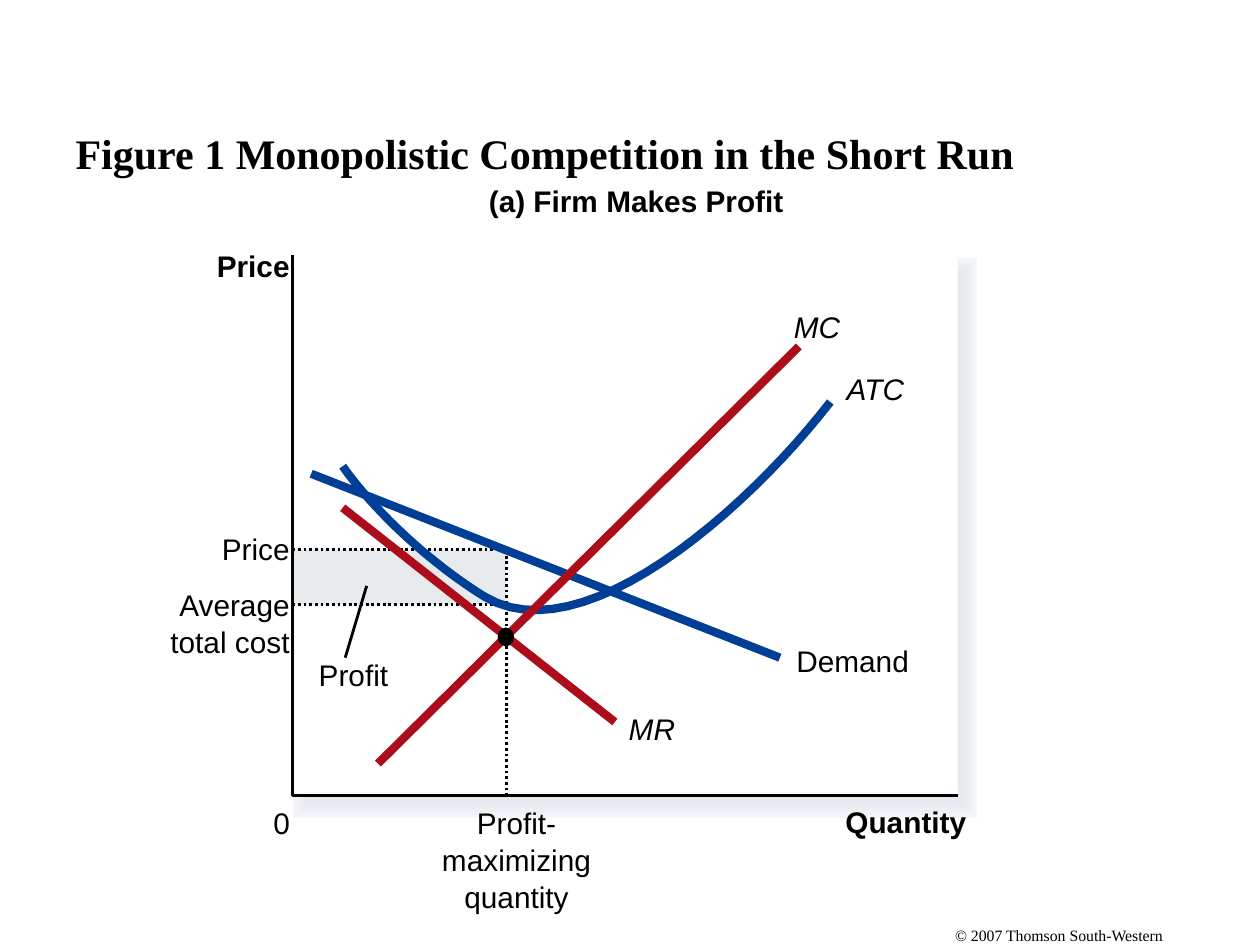
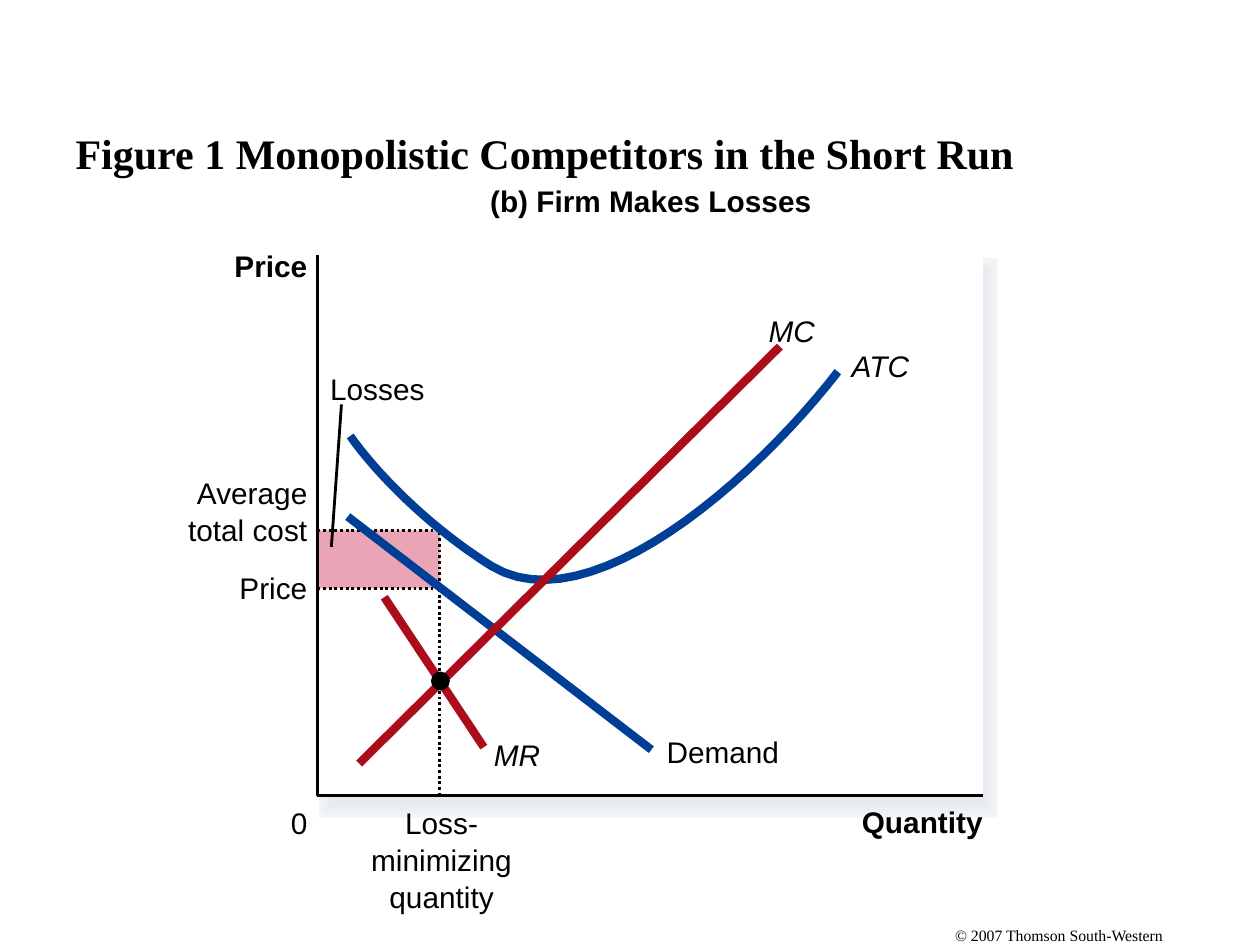
"""Build two slides on monopolistic competition in the short run."""
from dataclasses import dataclass
from typing import Optional

from lxml import etree
from pptx import Presentation
from pptx import util as u
from pptx.dml.color import RGBColor
from pptx.enum import dml, shapes, text
from pptx.oxml import ns

COLUMNS, ROWS = 100, 75
CELL = u.Inches(10) // COLUMNS
SANS, SERIF = "Arial", "Times New Roman"
COLORS = {"ink": "000000", "paper": "FFFFFF", "blue": "003F95", "red": "AD0D1B",
          "profit": "E7EBEE", "loss": "E9A5B5"}
SHADOW_TINTS = ["F3F6F9", "F2F4F8", "F1F4F7", "F0F2F5", "EEF1F4", "EDEFF3",
                "EBEEF2", "EAECF1", "E9EBF0", "E7EAEF", "E6E9EF"]
SHADOW_WIDEST, THIN, THICK = 17.5, 1.62, 4.75
LABEL_SIZE, LABEL_HEIGHT, LABEL_PITCH = 17, 2.8, 2.95
LABEL_GAP = 0.7
PLOT_TOP, PLOT_BOTTOM, PLOT_WIDTH = 20.2, 63.1, 52.8
LEFT, CENTER, RIGHT = text.PP_ALIGN.LEFT, text.PP_ALIGN.CENTER, text.PP_ALIGN.RIGHT
COST_LINES = ("Average", "total cost")

Point = tuple[float, float]


@dataclass(frozen=True)
class Label:
    """Lines of text at a grid position."""
    lines: tuple[str, ...]
    left: float
    top: float
    width: float
    align: text.PP_ALIGN = LEFT
    bold: bool = False
    italic: bool = False


@dataclass(frozen=True)
class Segment:
    """A straight line between two grid points."""
    start: Point
    end: Point
    color: str
    width: float = THICK


@dataclass(frozen=True)
class Market:
    """Everything that differs from one diagram to the next."""
    title: str
    origin: float
    shadow_width: float
    axis_label_right: float
    quantity: float
    upper: float
    lower: float
    area: str
    equilibrium: Point
    dot_width: float
    atc: tuple[Point, ...]
    segments: tuple[Segment, ...]
    price_top: float
    cost_top: float
    labels: tuple[Label, ...]


def atc_curve(left: float, top: float) -> tuple[Point, ...]:
    """Return the control points of the average total cost curve."""
    offsets = ((0, 5.1), (1.75, 7.6), (5.75, 12), (11.25, 15.45),
               (19, 20.1), (32.05, 8.6), (38.7, 0))
    return tuple((left + x, top + y) for x, y in offsets)


def marginal_cost(left: float) -> Segment:
    """Return the marginal cost line starting at a column."""
    return Segment((left, 60.6), (left + 33.4, 27.5), "red")


MARKETS = [
    Market(
        title="Figure 1 Monopolistic Competition in the Short Run",
        origin=23.2, shadow_width=51.8, axis_label_right=23,
        quantity=40.2, upper=43.6, lower=48, area="profit",
        equilibrium=(40.15, 50.55), dot_width=1.3, atc=atc_curve(27.2, 31.9),
        segments=(Segment((24.7, 37.6), (61.9, 52.2), "blue"),
                  Segment((27.2, 40.3), (48.8, 57.3), "red"),
                  Segment((27.4, 52.2), (29.1, 46.5), "ink", THIN),
                  marginal_cost(30)),
        price_top=42.1, cost_top=46.6,
        labels=(Label(("(a) Firm Makes Profit",), 38.8, 14.5, 23.5, bold=True),
                Label(("Quantity",), 67.1, 63.8, 9.6, bold=True),
                Label(("Profit-", "maximizing", "quantity"), 35, 63.9, 12, CENTER),
                Label(("Demand",), 63.2, 51, 9),
                Label(("MR",), 49.9, 56.4, 3.7, italic=True),
                Label(("ATC",), 67.2, 29.4, 4.7, italic=True),
                Label(("Profit",), 25.3, 52.1, 5.6),
                Label(("MC",), 63, 24.5, 3.7, italic=True))),
    Market(
        title="Figure 1 Monopolistic Competitors in the Short Run",
        origin=25.2, shadow_width=51.5, axis_label_right=24.4,
        quantity=34.9, upper=42.1, lower=46.7, area="loss",
        equilibrium=(34.95, 54.05), dot_width=1.5, atc=atc_curve(27.8, 29.5),
        segments=(Segment((27.6, 41), (51.7, 59.5), "blue"),
                  Segment((30.5, 47.4), (38.4, 59.3), "red"),
                  Segment((27.1, 32.1), (26.3, 43.4), "ink", THIN),
                  marginal_cost(28.5)),
        price_top=45.2, cost_top=37.7,
        labels=(Label(("(b) Firm Makes Losses",), 38.9, 14.5, 25.6, bold=True),
                Label(("Quantity",), 68.4, 63.8, 9.6, bold=True),
                Label(("Loss-", "minimizing", "quantity"), 29.4, 63.9, 11.3, CENTER),
                Label(("Demand",), 52.9, 58.2, 9),
                Label(("MR",), 39.2, 58.5, 3.7, italic=True),
                Label(("ATC",), 67.6, 27.6, 4.7, italic=True),
                Label(("Losses",), 26.2, 29.4, 7.5),
                Label(("MC",), 61, 24.8, 3.7, italic=True))),
]


def grid(*cells: float) -> list[u.Emu]:
    """Convert grid units to lengths."""
    return [u.Emu(round(cell * CELL)) for cell in cells]


def rgb(value: str) -> RGBColor:
    """Return the colour for a name or a hex string."""
    return RGBColor.from_string(COLORS.get(value, value))


def add_run(paragraph, words: str, size: float, name: str,
            bold: bool = False, italic: bool = False) -> None:
    """Add one formatted run to a paragraph."""
    run = paragraph.add_run()
    run.text = words
    font = run.font
    font.size, font.name, font.bold, font.italic = u.Pt(size), name, bold, italic
    font.color.rgb = rgb("ink")


def style_line(line, color: str, width: float, dotted: bool = False) -> None:
    """Set colour, width and dash of a line."""
    line.color.rgb = rgb(color)
    line.width = u.Pt(width)
    if dotted:
        line.dash_style = dml.MSO_LINE.ROUND_DOT


def add_block(slide, kind, box: tuple[float, ...], fill: str,
              line_width: Optional[float] = None) -> None:
    """Add a filled preset shape, with a square-cornered edge if asked."""
    shape = slide.shapes.add_shape(kind, *grid(*box))
    shape.shadow.inherit = False
    shape.fill.solid()
    shape.fill.fore_color.rgb = rgb(fill)
    if line_width is None:
        shape.line.fill.background()
    else:
        style_line(shape.line, fill, line_width)
        edge = shape.element.spPr.find(ns.qn("a:ln"))
        etree.SubElement(edge, ns.qn("a:miter"), lim="800000")


def add_path(slide, points: list[Point], color: str, width: float,
             dotted: bool = False) -> None:
    """Add an open outline through grid points."""
    start, *rest = [tuple(grid(*point)) for point in points]
    builder = slide.shapes.build_freeform(*start)
    builder.add_line_segments(rest, close=False)
    shape = builder.convert_to_shape()
    shape.shadow.inherit = False
    shape.fill.background()
    style_line(shape.line, color, width, dotted)


def add_segment(slide, segment: Segment, dotted: bool = False) -> None:
    """Add a straight connector without a shadow."""
    connector = slide.shapes.add_connector(
        shapes.MSO_CONNECTOR.STRAIGHT, *grid(*segment.start, *segment.end))
    style_line(connector.line, segment.color, segment.width, dotted)
    etree.SubElement(connector.element.spPr, ns.qn("a:effectLst"))


def add_text_shape(slide, box: tuple[float, ...]):
    """Add a text box without wrapping or margins that grows with its text."""
    shape = slide.shapes.add_textbox(*grid(*box))
    frame = shape.text_frame
    frame.word_wrap = False
    frame.auto_size = text.MSO_AUTO_SIZE.SHAPE_TO_FIT_TEXT
    frame.margin_left = frame.margin_right = frame.margin_top = frame.margin_bottom = 0
    return shape


def add_label(slide, label: Label) -> None:
    """Add a label with one paragraph for each line."""
    height = LABEL_HEIGHT + LABEL_PITCH * (len(label.lines) - 1)
    frame = add_text_shape(slide, (label.left, label.top, label.width, height)).text_frame
    for index, line in enumerate(label.lines):
        paragraph = frame.add_paragraph() if index else frame.paragraphs[0]
        paragraph.alignment = label.align
        if index:
            paragraph.space_before = u.Pt(LABEL_GAP)
        add_run(paragraph, line, LABEL_SIZE, SANS, label.bold, label.italic)


def add_axis_label(slide, market: Market, lines: tuple[str, ...], top: float,
                   width: float, bold: bool = False) -> None:
    """Add a label that ends beside the price axis."""
    left = market.axis_label_right - width
    add_label(slide, Label(lines, left, top, width, RIGHT, bold))


def bezier(controls: tuple[Point, ...], steps: int = 24) -> list[Point]:
    """Sample a chain of cubic curves."""
    points = [controls[0]]
    for first in range(0, len(controls) - 1, 3):
        for step in range(1, steps + 1):
            t = step / steps
            weights = ((1 - t) ** 3, 3 * t * (1 - t) ** 2, 3 * t * t * (1 - t), t ** 3)
            pairs = list(zip(weights, controls[first:first + 4]))
            points.append((sum(w * p[0] for w, p in pairs),
                           sum(w * p[1] for w, p in pairs)))
    return points


def add_title(slide, words: str) -> None:
    """Place and fill the title placeholder."""
    title = slide.shapes.title
    title.left, title.top, title.width, title.height = grid(5, 5.85, 90, 12.5)
    frame = title.text_frame
    frame.auto_size = text.MSO_AUTO_SIZE.NONE
    frame.vertical_anchor = text.MSO_ANCHOR.MIDDLE
    frame.paragraphs[0].alignment = LEFT
    add_run(frame.paragraphs[0], words, 24, SERIF, bold=True)


def add_plot_area(slide, market: Market) -> None:
    """Draw the soft shadow, the white panel, the shaded area and the axes."""
    rectangle = shapes.MSO_SHAPE.RECTANGLE
    step = (SHADOW_WIDEST - THIN) / (len(SHADOW_TINTS) - 1)
    for index, tint in enumerate(SHADOW_TINTS):
        add_block(slide, rectangle, (market.origin + 1.3, 21.7, market.shadow_width, 42),
                  tint, SHADOW_WIDEST - index * step)
    add_block(slide, rectangle,
              (market.origin, PLOT_TOP, PLOT_WIDTH, PLOT_BOTTOM - PLOT_TOP), "paper")
    add_block(slide, rectangle, (market.origin, market.upper, market.quantity - market.origin,
                                 market.lower - market.upper), market.area)
    add_path(slide, [(market.origin, PLOT_TOP), (market.origin, PLOT_BOTTOM),
                     (market.origin + PLOT_WIDTH, PLOT_BOTTOM)], "ink", THIN)


def add_market(presentation, layout, market: Market):
    """Add a slide with one market diagram."""
    slide = presentation.slides.add_slide(layout)
    add_title(slide, market.title)
    add_plot_area(slide, market)
    add_path(slide, [(market.origin, market.upper), (market.quantity, market.upper),
                     (market.quantity, PLOT_BOTTOM)], "ink", THIN, dotted=True)
    add_segment(slide, Segment((market.origin, market.lower),
                               (market.quantity, market.lower), "ink", THIN), dotted=True)
    add_path(slide, bezier(market.atc), "blue", THICK)
    for segment in market.segments:
        add_segment(slide, segment)
    x, y = market.equilibrium
    add_block(slide, shapes.MSO_SHAPE.OVAL,
              (x - market.dot_width / 2, y - 0.75, market.dot_width, 1.5), "ink")
    add_axis_label(slide, market, ("Price",), 19.7, 5.8, bold=True)
    add_axis_label(slide, market, ("Price",), market.price_top, 5.4)
    add_axis_label(slide, market, COST_LINES, market.cost_top, 9.5)
    add_axis_label(slide, market, ("0",), 63.9, 1.3)
    for label in market.labels:
        add_label(slide, label)
    return slide


def add_copyright(slide, layout) -> None:
    """Write the copyright line and move it to the shared layout."""
    shape = add_text_shape(slide, (75.8, 73.5, 16.6, 1.5))
    add_run(shape.text_frame.paragraphs[0], "© 2007 Thomson South-Western", 9, SERIF)
    layout.shapes.element.append(shape.element)


def main() -> None:
    """Build and save the presentation."""
    presentation = Presentation()
    presentation.slide_width, presentation.slide_height = grid(COLUMNS, ROWS)
    layout = presentation.slide_layouts.get_by_name("Title Only")
    slides = [add_market(presentation, layout, market) for market in MARKETS]
    add_copyright(slides[0], layout)
    presentation.save("out.pptx")


if __name__ == "__main__":
    main()
